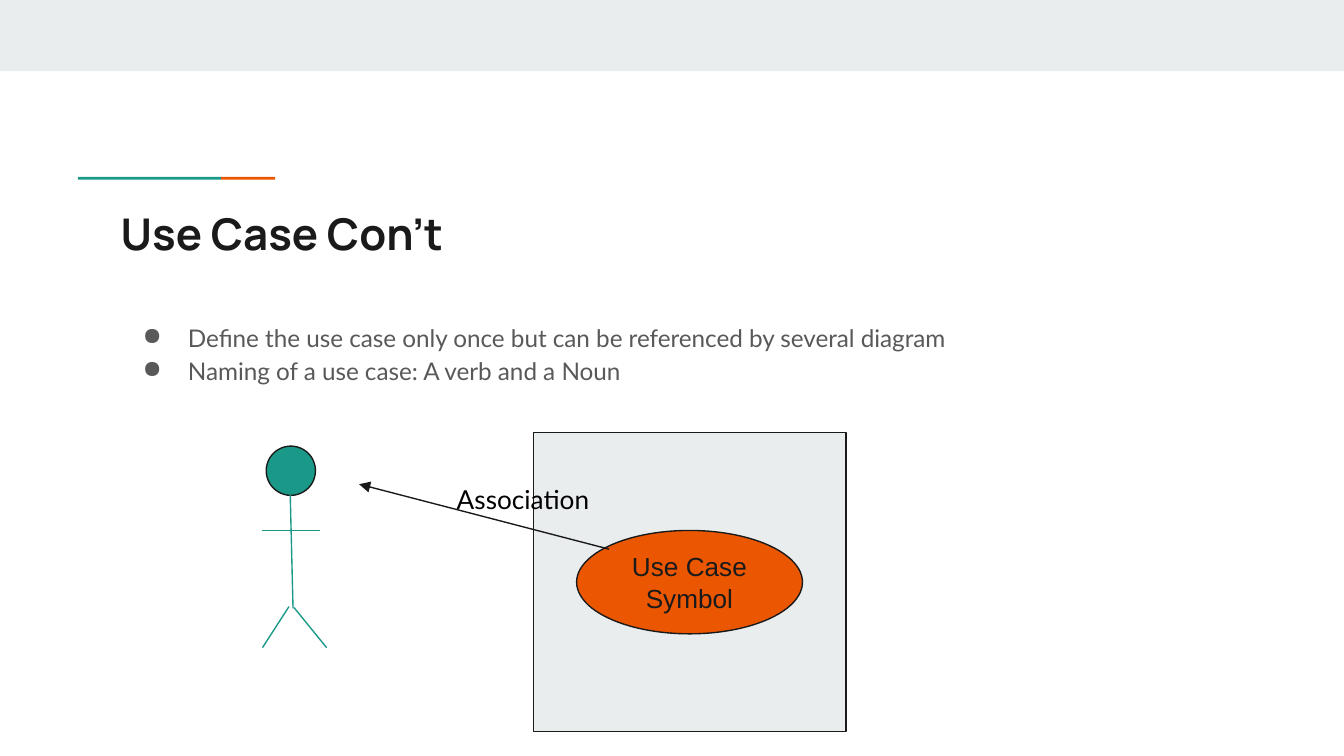
"""Build a slide on use cases: title, bullets and a small actor diagram."""
from lxml.etree import SubElement as Sub
from pptx import Presentation
from pptx.dml.color import RGBColor as Rgb
from pptx.enum.shapes import MSO_CONNECTOR as Link, MSO_SHAPE as Kind
from pptx.enum.text import MSO_ANCHOR as Anchor, PP_ALIGN as Align
from pptx.oxml.ns import qn
from pptx.util import Pt

COLORS = {
    "mist": "E9EDEE",
    "orange": "EB5600",
    "teal": "1A9988",
    "ink": "1A1A1A",
    "gray": "595959",
    "black": "000000",
}


def tint(name):
    return Rgb.from_string(COLORS[name])


def add_shape(slide, kind, box, fill, line=None):
    shape = slide.shapes.add_shape(kind, *map(Pt, box))
    shape.shadow.inherit = False
    shape.fill.solid()
    shape.fill.fore_color.rgb = tint(fill)
    if line:
        shape.line.color.rgb = tint(line)
        shape.line.width = Pt(0.75)
    else:
        shape.line.fill.background()
    return shape


def add_line(slide, start, end, color, arrow=False):
    line = slide.shapes.add_connector(Link.STRAIGHT, *map(Pt, start + end))
    line.line.color.rgb = tint(color)
    line.line.width = Pt(0.75)
    if arrow:
        Sub(line.line._get_or_add_ln(), qn("a:tailEnd"), type="triangle")
    Sub(line._element.spPr, qn("a:effectLst"))


def add_bullet(para, color):
    props = para._p.get_or_add_pPr()
    props.set("marL", str(Pt(36)))
    props.set("indent", str(Pt(-24.3)))
    Sub(Sub(props, qn("a:buClr")), qn("a:srgbClr"), val=COLORS[color])
    Sub(props, qn("a:buChar"), char="●")


def write(shape, text, font="Lato", size=14, color="ink", bold=False,
          align=Align.LEFT, anchor=Anchor.TOP, bullet=False, space=None):
    frame = shape.text_frame
    frame.word_wrap = True
    frame.vertical_anchor = anchor
    frame.margin_left = frame.margin_right = Pt(7.2)
    frame.margin_top = frame.margin_bottom = Pt(7.2)
    frame.text = text
    for para in frame.paragraphs:
        para.alignment = align
        if space:
            para.line_spacing = space
        if bullet:
            add_bullet(para, color)
        para.font.name = font
        para.font.size = Pt(size)
        para.font.bold = bold
        para.font.color.rgb = tint(color)


def add_text(slide, box, text, **style):
    write(slide.shapes.add_textbox(*map(Pt, box)), text, **style)


def add_actor(slide):
    add_shape(slide, Kind.OVAL, (142.6, 239, 26.4, 26.4), "teal", "ink")
    limbs = [
        ((155.5, 265), (157, 326)),
        ((140.6, 284.2), (171.6, 284.2)),
        ((157.5, 325.5), (175, 347)),
        ((154.8, 325), (140.6, 347)),
    ]
    for start, end in limbs:
        add_line(slide, start, end, "teal")


def add_case(slide):
    add_shape(slide, Kind.RECTANGLE, (285.8, 231.7, 167.5, 160.2), "mist", "ink")
    oval = add_shape(slide, Kind.OVAL, (308.9, 284.2, 121, 55.4), "orange", "ink")
    write(oval, "Use Case Symbol", font="Arial", align=Align.CENTER,
          anchor=Anchor.MIDDLE)


def main():
    deck = Presentation()
    deck.slide_width, deck.slide_height = Pt(720), Pt(405)
    slide = deck.slides.add_slide(deck.slide_layouts[6])

    add_shape(slide, Kind.RECTANGLE, (0, 0, 720, 38.2), "mist")
    add_shape(slide, Kind.RECTANGLE, (41.8, 94.8, 76.6, 1.5), "teal")
    add_shape(slide, Kind.RECTANGLE, (118.4, 94.8, 29, 1.5), "orange")

    add_text(slide, (57.6, 103.7, 605.5, 42.5), "Use Case Con’t",
             font="Manrope", size=23.4, bold=True)
    add_text(slide, (57.6, 163.4, 605.5, 87),
             "Define the use case only once but can be referenced by several diagram\n"
             "Naming of a use case: A verb and a Noun",
             size=13, color="gray", bullet=True, space=1.15)

    add_case(slide)
    add_line(slide, (326.2, 294.2), (192.4, 259.4), "ink", arrow=True)
    add_actor(slide)
    add_text(slide, (237.6, 252, 102.2, 31.7), "Association", color="black")
    deck.save("out.pptx")


if __name__ == "__main__":
    main()
